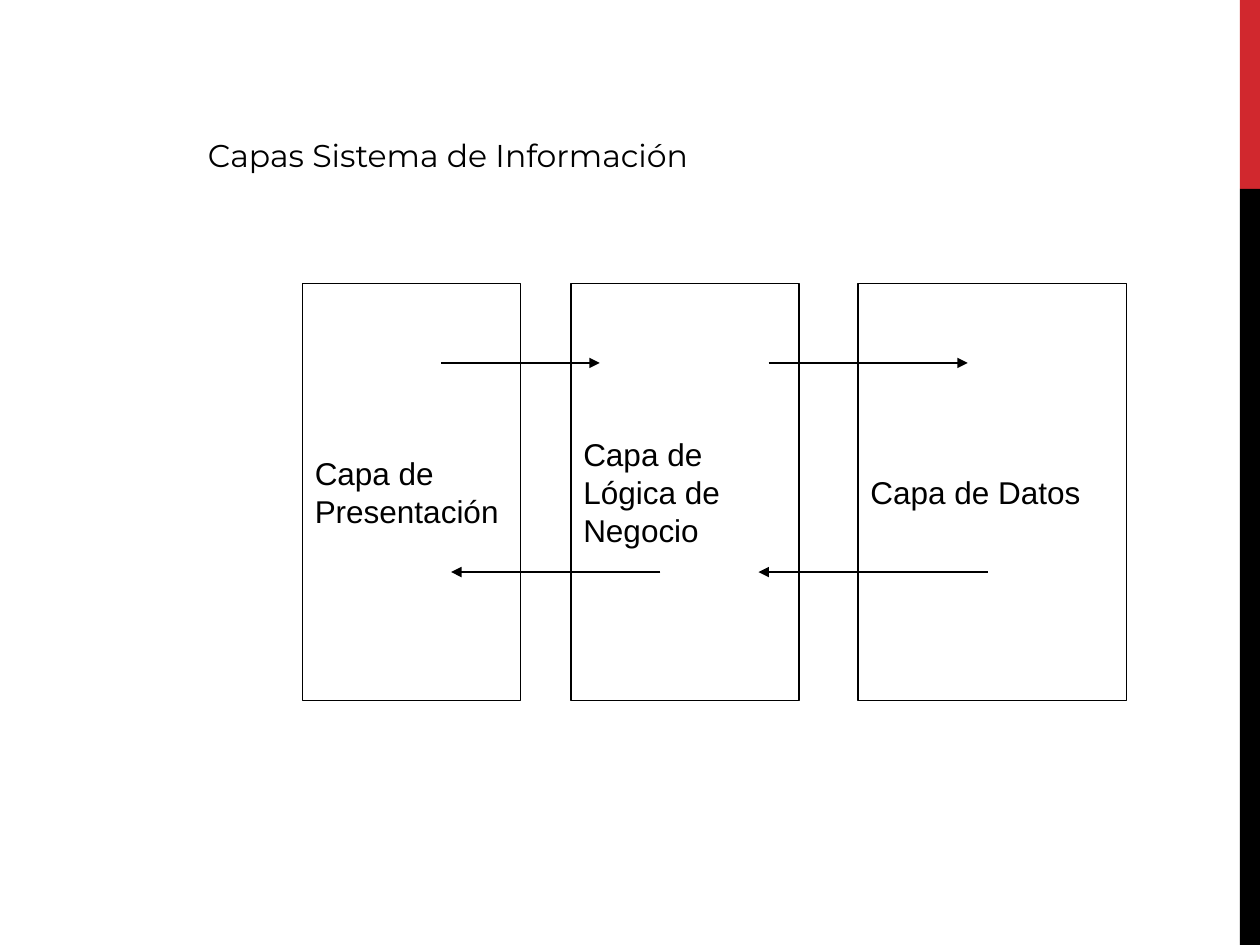
from dataclasses import dataclass

import pptx
import pptx.dml.color
import pptx.enum.shapes
import pptx.enum.text
import pptx.oxml.ns
import pptx.util
from lxml import etree

Pt = pptx.util.Pt
RGBColor = pptx.dml.color.RGBColor
MSO_SHAPE = pptx.enum.shapes.MSO_SHAPE
MSO_ANCHOR = pptx.enum.text.MSO_ANCHOR
PP_ALIGN = pptx.enum.text.PP_ALIGN
qn = pptx.oxml.ns.qn

BLACK = RGBColor(0x00, 0x00, 0x00)
RED = RGBColor(0xD1, 0x28, 0x2E)

LAYER_TOP, LAYER_HEIGHT = 162, 238.3
REQUEST_Y, RESPONSE_Y = 207.4, 326.9
BAND_LEFT, BAND_WIDTH = 708.5, 11.5


@dataclass
class Band:
    top: float
    height: float
    color: RGBColor


@dataclass
class Layer:
    left: float
    width: float
    lines: list[str]


@dataclass
class Arrow:
    start: float
    end: float
    y: float


BANDS = [Band(0, 108, RED), Band(108, 432, BLACK)]
LAYERS = [
    Layer(490.3, 153.4, ["Capa de Datos"]),
    Layer(326.2, 130.3, ["Capa de", "Lógica de", "Negocio"]),
    Layer(172.8, 124.6, ["Capa de", "Presentación"]),
]
ARROWS = [
    Arrow(439.2, 553, REQUEST_Y),
    Arrow(564.5, 433.4, RESPONSE_Y),
    Arrow(252, 342.7, REQUEST_Y),
    Arrow(377.3, 257.8, RESPONSE_Y),
]


def format_paragraph(p, font_name: str) -> None:
    p.alignment = PP_ALIGN.LEFT
    p.font.name = font_name
    p.font.size = Pt(18)
    p.font.color.rgb = BLACK


def add_rect(slide, left: float, top: float, width: float, height: float):
    sp = slide.shapes.add_shape(
        MSO_SHAPE.RECTANGLE, Pt(left), Pt(top), Pt(width), Pt(height))
    sp.shadow.inherit = False
    return sp


def add_band(slide, band: Band) -> None:
    sp = add_rect(slide, BAND_LEFT, band.top, BAND_WIDTH, band.height)
    sp.fill.solid()
    sp.fill.fore_color.rgb = band.color
    sp.line.fill.background()


def add_title(slide, text: str) -> None:
    sp = slide.shapes.title
    sp.left, sp.top, sp.width, sp.height = Pt(111.6), Pt(74.2), Pt(612), Pt(45.4)
    tf = sp.text_frame
    tf.text = text
    tf.vertical_anchor = MSO_ANCHOR.TOP
    format_paragraph(tf.paragraphs[0], "Montserrat")


def add_layer(slide, layer: Layer) -> None:
    sp = add_rect(slide, layer.left, LAYER_TOP, layer.width, LAYER_HEIGHT)
    sp.fill.background()
    sp.line.color.rgb = BLACK
    sp.line.width = Pt(0.75)
    tf = sp.text_frame
    tf.word_wrap = True
    tf.vertical_anchor = MSO_ANCHOR.MIDDLE
    tf.text = "\n".join(layer.lines)
    for p in tf.paragraphs:
        format_paragraph(p, "Arial")


def add_arrow(slide, arrow: Arrow) -> None:
    line = slide.shapes.add_connector(
        pptx.enum.shapes.MSO_CONNECTOR.STRAIGHT,
        Pt(arrow.start), Pt(arrow.y), Pt(arrow.end), Pt(arrow.y))
    line.line.color.rgb = BLACK
    line.line.width = Pt(0.75)
    sp_pr = line._element.spPr
    etree.SubElement(sp_pr.find(qn("a:ln")), qn("a:tailEnd"), type="triangle")
    etree.SubElement(sp_pr, qn("a:effectLst"))


def main() -> None:
    prs = pptx.Presentation()
    prs.slide_width, prs.slide_height = Pt(720), Pt(540)
    slide = prs.slides.add_slide(prs.slide_layouts.get_by_name("Title Only"))
    for band in BANDS:
        add_band(slide, band)
    add_title(slide, "Capas Sistema de Información")
    for layer in LAYERS:
        add_layer(slide, layer)
    for arrow in ARROWS:
        add_arrow(slide, arrow)
    prs.save("out.pptx")


if __name__ == "__main__":
    main()
